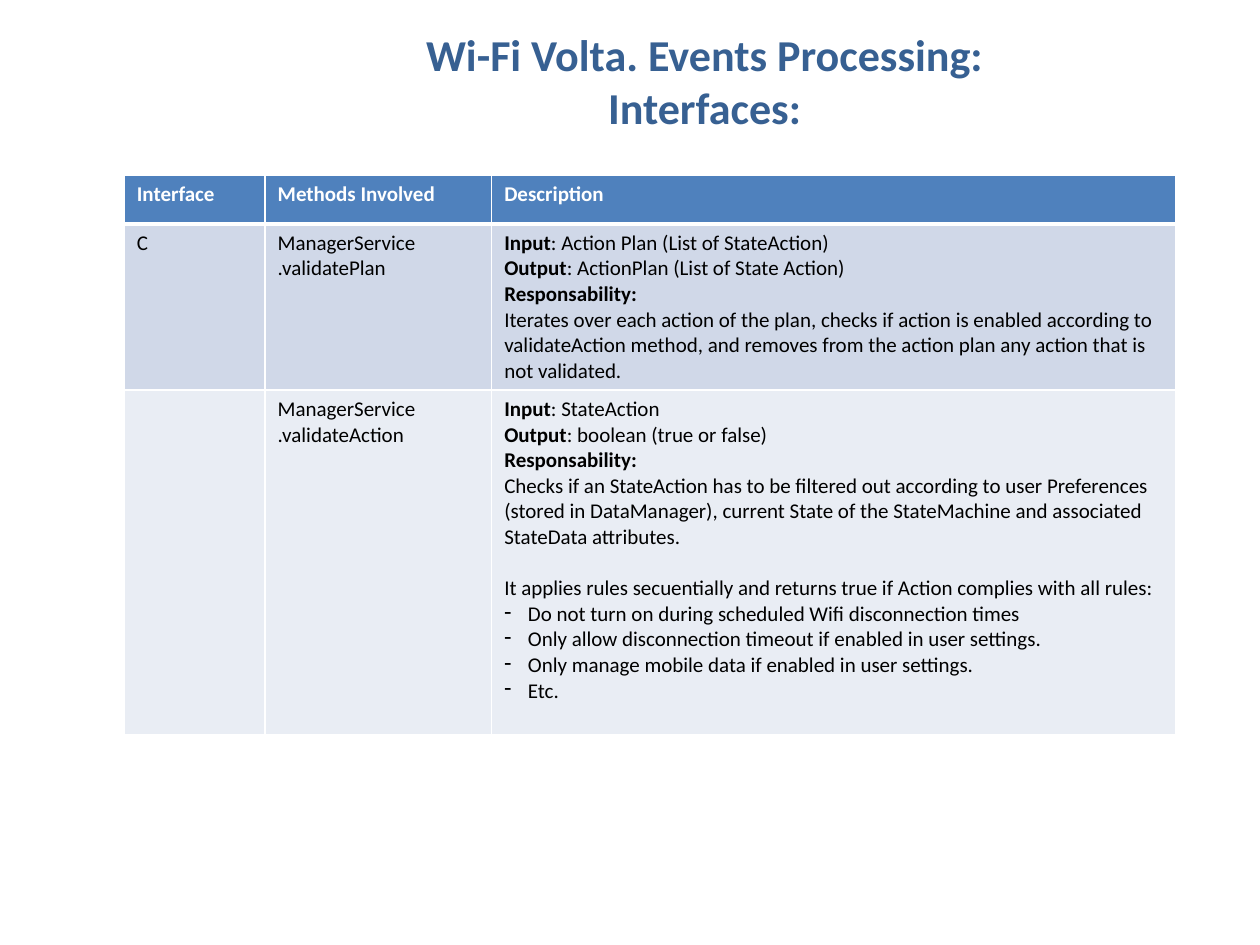
from lxml.etree import SubElement
from pptx import Presentation
from pptx.dml.color import RGBColor
from pptx.enum.text import MSO_ANCHOR, PP_ALIGN
from pptx.oxml.ns import qn
from pptx.util import Pt

COLORS = {
    "title": "376092",
    "header": "4F81BD",
    "band_dark": "D0D8E8",
    "band_light": "E9EDF4",
    "white": "FFFFFF",
    "black": "000000",
}
FONT = "Calibri"
COL_WIDTHS = [80.5, 129.5, 391]
ROW_HEIGHTS = [28, 95, 197]
ROW_FILLS = ["header", "band_dark", "band_light"]
BULLET = "- "
GAP = "^"

ROWS = [
    [["Interface|"], ["Methods Involved|"], ["Description|"]],
    [
        ["|C"],
        ["|ManagerService", "|.validatePlan"],
        [
            "Input|: Action Plan (List of StateAction)",
            "Output|: ActionPlan (List of State Action)",
            "Responsability:|",
            "|Iterates over each action of the plan, checks if action is enabled "
            "according to validateAction method, and removes from the action plan "
            "any action that is not validated.",
        ],
    ],
    [
        [],
        ["|ManagerService", "|.validateAction"],
        [
            "Input|: StateAction",
            "Output|: boolean (true or false)",
            "Responsability:|",
            "|Checks if an StateAction has to be filtered out according to user "
            "Preferences (stored in DataManager), current State of the StateMachine "
            "and associated StateData attributes.",
            "|^It applies rules secuentially and returns true if Action complies "
            "with all rules:",
            "|- Do not turn on during scheduled Wifi disconnection times",
            "|- Only allow disconnection timeout if enabled in user settings.",
            "|- Only manage mobile data if enabled in user settings.",
            "|- Etc.",
        ],
    ],
]


def style_font(font, size, color):
    font.name = FONT
    font.size = Pt(size)
    font.color.rgb = RGBColor.from_string(COLORS[color])


def add_border(cell, side, width):
    ln = SubElement(cell._tc.get_or_add_tcPr(), qn(f"a:ln{side}"), w=str(Pt(width)))
    fill = SubElement(ln, qn("a:solidFill"))
    SubElement(fill, qn("a:srgbClr"), val=COLORS["white"])


prs = Presentation()
prs.slide_width, prs.slide_height = Pt(720), Pt(540)
s = prs.slides.add_slide(prs.slide_layouts[6])

title = s.shapes.add_textbox(Pt(121.5), Pt(21), Pt(568), Pt(50))
tf = title.text_frame
tf.word_wrap = True
tf.vertical_anchor = MSO_ANCHOR.MIDDLE
p = tf.paragraphs[0]
p.text = "Wi-Fi Volta. Events Processing: \vInterfaces: "
p.alignment = PP_ALIGN.CENTER
p.font.bold = True
style_font(p.font, 25.2, "title")

frame = s.shapes.add_table(
    len(ROWS), len(COL_WIDTHS), Pt(71), Pt(100), Pt(sum(COL_WIDTHS)), Pt(sum(ROW_HEIGHTS))
)
table = frame.table
table.first_row = False
table.horz_banding = False
for column, width in zip(table.columns, COL_WIDTHS):
    column.width = Pt(width)

for i, (row, height, fill) in enumerate(zip(ROWS, ROW_HEIGHTS, ROW_FILLS)):
    table.rows[i].height = Pt(height)
    for j, lines in enumerate(row):
        cell = table.cell(i, j)
        add_border(cell, "L", 1)
        add_border(cell, "R", 1)
        add_border(cell, "T", 3 if i == 1 else 1)
        add_border(cell, "B", 3 if i == 0 else 1)
        cell.fill.solid()
        cell.fill.fore_color.rgb = RGBColor.from_string(COLORS[fill])
        tf = cell.text_frame
        for n, line in enumerate(lines):
            p = tf.add_paragraph() if n else tf.paragraphs[0]
            style_font(p.font, 12, "black" if i else "white")
            bold, plain = line.split("|")
            if plain.startswith(GAP):
                plain = plain.removeprefix(GAP)
                p.space_before = Pt(14.65)
            if plain.startswith(BULLET):
                plain = plain.removeprefix(BULLET)
                pPr = p._p.get_or_add_pPr()
                pPr.set("marL", str(Pt(13.5)))
                pPr.set("indent", str(-Pt(13.5)))
                bullet = pPr.makeelement(qn("a:buChar"), {"char": "-"})
                pPr.insert_element_before(bullet, "a:tabLst", "a:defRPr", "a:extLst")
            for text, is_bold in ((bold, True), (plain, False)):
                if text:
                    r = p.add_run()
                    r.text = text
                    r.font.bold = is_bold

prs.save("out.pptx")
